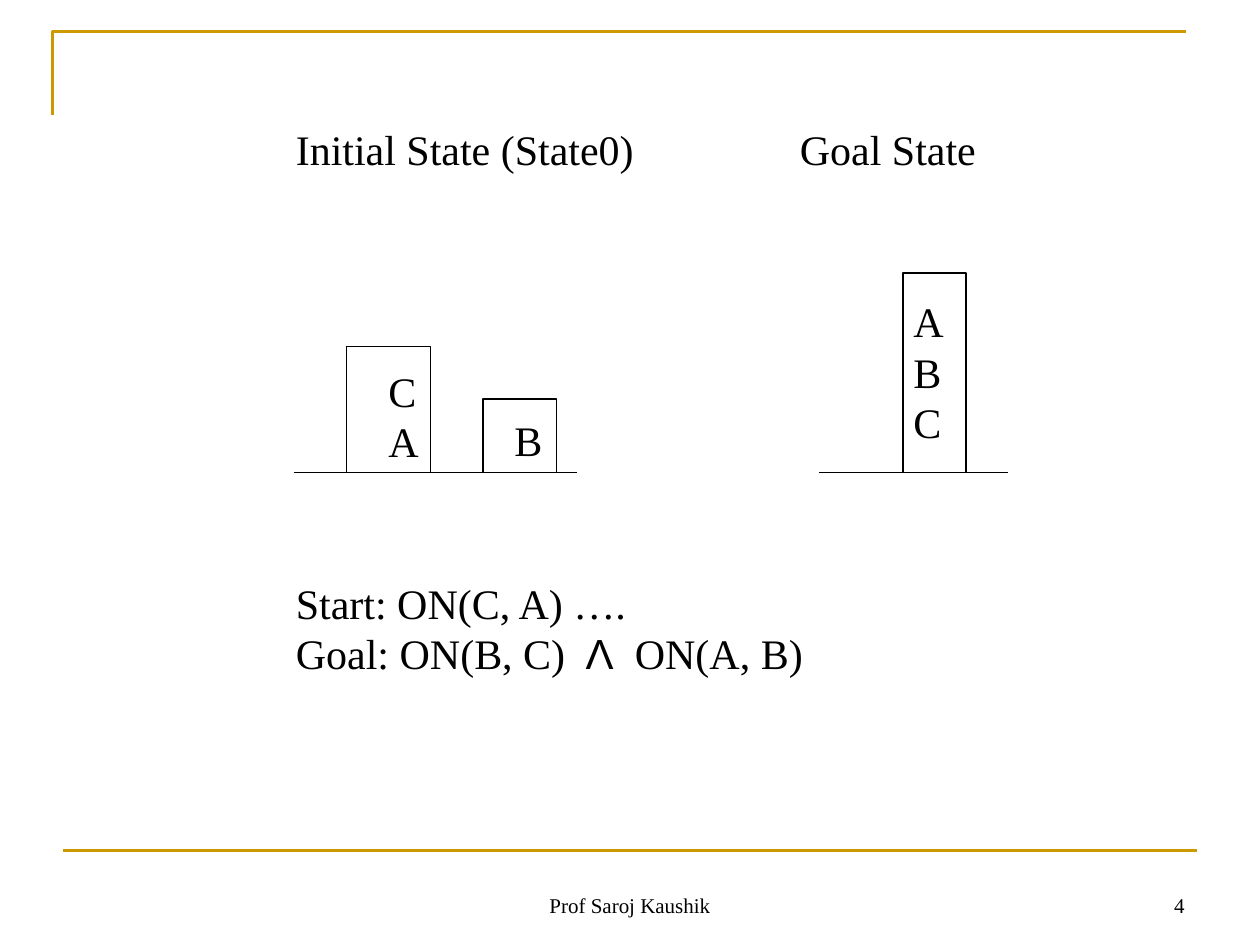
"""Builds a blocks-world slide with an initial state and a goal state."""
import pptx
import pptx.util
import pptx.dml.color
import pptx.enum.shapes
import pptx.enum.text
import pptx.oxml
import pptx.oxml.ns
import lxml.etree

BLACK = pptx.dml.color.RGBColor(0x00, 0x00, 0x00)
GOLD = pptx.dml.color.RGBColor(0xCC, 0x99, 0x00)
ALIGN = pptx.enum.text.PP_ALIGN
ANCHOR = pptx.enum.text.MSO_ANCHOR

presentation = pptx.Presentation()
presentation.slide_width = pptx.util.Inches(10)
presentation.slide_height = pptx.util.Inches(7.5)
CELL = presentation.slide_width / 120
slide = presentation.slides.add_slide(presentation.slide_layouts[6])


def add_text(lines, column, row, columns, rows, size=24, align=ALIGN.LEFT, anchor=ANCHOR.TOP, tabs=()):
    box = slide.shapes.add_textbox(*(round(CELL * cells) for cells in (column, row, columns, rows)))
    text_frame = box.text_frame
    text_frame.word_wrap = True
    text_frame.vertical_anchor = anchor
    text_frame.text = "\n".join(lines)
    for paragraph in text_frame.paragraphs:
        paragraph.alignment = align
        paragraph.line_spacing = pptx.util.Pt(size * 1.2)
        if tabs:
            tab_list = lxml.etree.SubElement(paragraph._p.get_or_add_pPr(), pptx.oxml.ns.qn("a:tabLst"))
            for position in tabs:
                tab = lxml.etree.SubElement(tab_list, pptx.oxml.ns.qn("a:tab"))
                tab.set("pos", str(pptx.util.Inches(position)))
                tab.set("algn", "l")
        for run in paragraph.runs:
            run.font.size = pptx.util.Pt(size)
            run.font.name = "Times New Roman"
            run.font.color.rgb = BLACK
    return text_frame


corner_builder = slide.shapes.build_freeform(5, 11, scale=CELL)
corner_builder.add_line_segments([(5, 3), (113, 3)], close=False)
corner = corner_builder.convert_to_shape()
corner.shadow.inherit = False
corner.fill.background()
corner.line.color.rgb = GOLD
corner.line.width = pptx.util.Pt(1.5)

for start, end, row, color, width in [
    (6, 114, 81, GOLD, 1.5),
    (28, 55, 45, BLACK, 0.75),
    (78, 96, 45, BLACK, 0.75),
]:
    line = slide.shapes.add_connector(
        pptx.enum.shapes.MSO_CONNECTOR.STRAIGHT,
        *(round(CELL * cells) for cells in (start, row, end, row)))
    line.line.color.rgb = color
    line.line.width = pptx.util.Pt(width)
    lxml.etree.SubElement(line._element.spPr, pptx.oxml.ns.qn("a:effectLst"))

for column, columns, rows in [(33, 8, 12), (46, 7, 7), (86, 6, 19)]:
    block = slide.shapes.add_shape(
        pptx.enum.shapes.MSO_SHAPE.RECTANGLE,
        *(round(CELL * cells) for cells in (column, 45 - rows, columns, rows)))
    block.shadow.inherit = False
    block.fill.background()
    block.line.color.rgb = BLACK
    block.line.width = pptx.util.Pt(0.75)

for letters, column, row in [("CA", 35.8, 34.2), ("B", 47.8, 38.9), ("ABC", 85.8, 27.6)]:
    add_text(letters, column, row, 5.3, 1.2 + 4.8 * len(letters))

add_text(["Initial State (State0)\tGoal State"], 27, 11.2, 79, 6, tabs=[4])
conditions = add_text(["Start: ON(C, A) ….", "Goal: ON(B, C)\t"], 27, 54.4, 79, 10.8, tabs=[2.3, 2.69])
for text, font_name in [("Λ", "Arial"), ("\tON(A, B)", "Times New Roman")]:
    run = conditions.paragraphs[1].add_run()
    run.text = text
    run.font.size = pptx.util.Pt(24)
    run.font.name = font_name
    run.font.color.rgb = BLACK

add_text(["Prof Saroj Kaushik"], 41, 82, 38, 6, 12, ALIGN.CENTER, ANCHOR.BOTTOM)
add_text(["4"], 86, 82, 28, 6, 12, ALIGN.RIGHT, ANCHOR.BOTTOM)

presentation.save("out.pptx")
